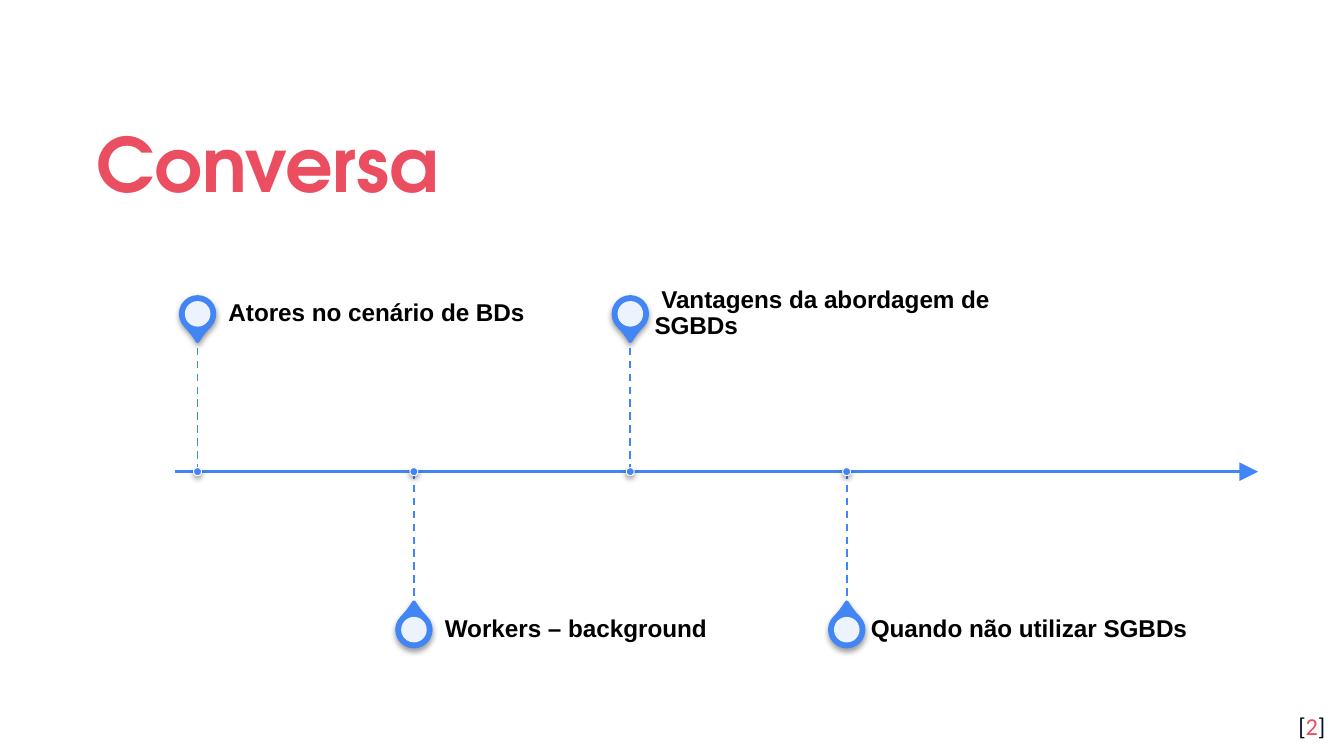
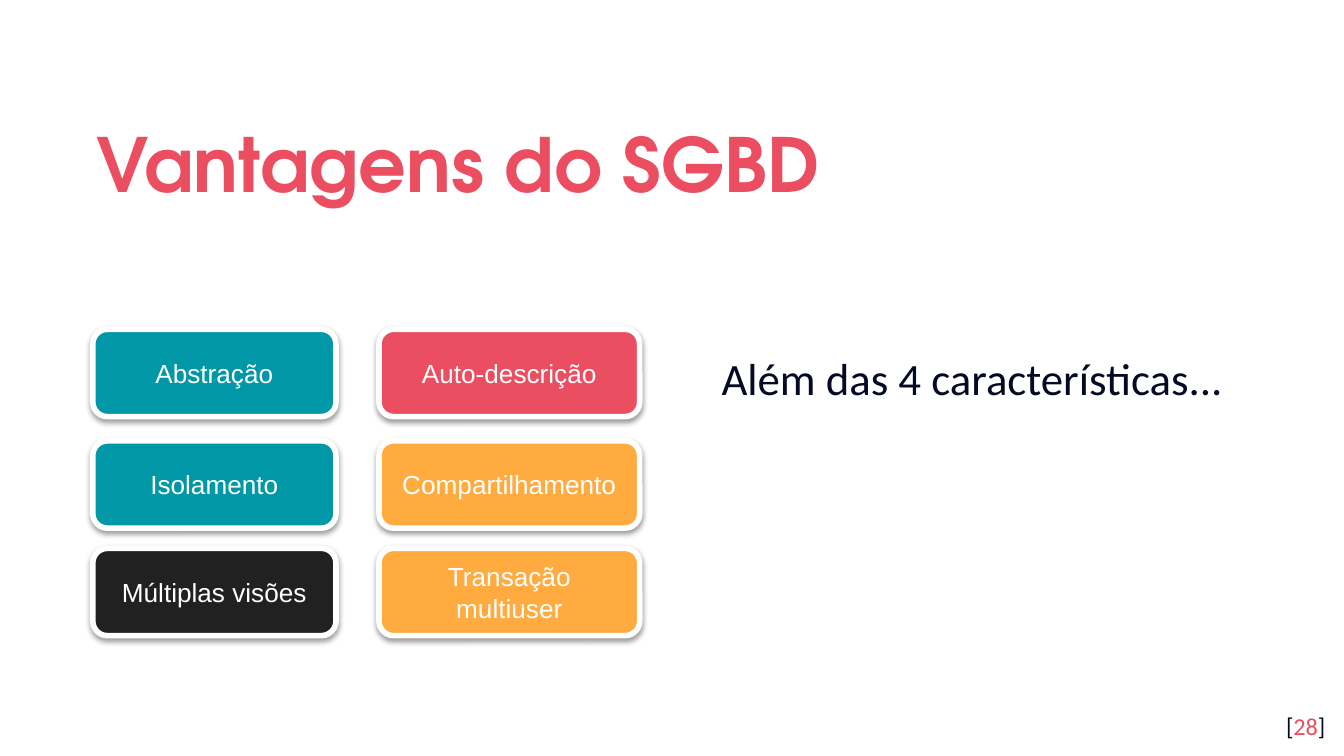
from dataclasses import dataclass

import pptx
import pptx.dml.color
import pptx.enum.dml
import pptx.enum.shapes
import pptx.enum.text
import pptx.oxml
import pptx.oxml.ns
import pptx.slide
import pptx.util
from lxml import etree

Inches = pptx.util.Inches
Pt = pptx.util.Pt
RGBColor = pptx.dml.color.RGBColor
Shape = pptx.enum.shapes.MSO_SHAPE
Align = pptx.enum.text.PP_ALIGN
Anchor = pptx.enum.text.MSO_ANCHOR
qn = pptx.oxml.ns.qn

SLIDE_WIDTH = Inches(10)
SLIDE_HEIGHT = SLIDE_WIDTH * 9 // 16

CORAL = RGBColor(0xEA, 0x4E, 0x60)
NAVY = RGBColor(0x04, 0x0A, 0x24)
BLUE = RGBColor(0x42, 0x85, 0xF4)
TEAL = RGBColor(0x00, 0x97, 0xA7)
ORANGE = RGBColor(0xFF, 0xAB, 0x40)
CHARCOAL = RGBColor(0x21, 0x21, 0x21)
BLACK = RGBColor(0, 0, 0)
WHITE = RGBColor(0xFF, 0xFF, 0xFF)

TITLE_FONT = {"name": "TeX Gyre Adventor", "size": Pt(40), "bold": True}
NUMBER_FONT = {"name": "Calibri", "size": Pt(13)}
BODY_FONT = {"name": "Calibri", "size": Pt(24)}
LABEL_FONT = {"name": "Arial", "size": Pt(13), "bold": True}
CARD_FONT = {"name": "Arial", "size": Pt(14)}

SHADOW_XML = (
    f'<a:effectLst {pptx.oxml.ns.nsdecls("a")}>'
    f'<a:outerShdw blurRad="{Pt(3.1)}" dist="{Pt(1.6)}" dir="5400000" rotWithShape="0">'
    '<a:srgbClr val="000000"><a:alpha val="38000"/></a:srgbClr>'
    "</a:outerShdw></a:effectLst>"
)
ARROWHEAD = {"type": "triangle", "w": "lg", "len": "lg"}

AXIS_Y = 3.51
FIRST_STOP_X = 1.47
STOP_PITCH = 1.61
STEM = 1.0
PIN_REACH = 1.175

CARD_HEIGHT = 0.65
CARD_COLUMNS = ((0.69, 1.81), (2.82, 1.94))
CARD_ROWS = (2.45, 3.28, 4.08)


@dataclass(frozen=True)
class Box:
    left: float
    top: float
    width: float
    height: float

    def lengths(self) -> list:
        return [Inches(v) for v in (self.left, self.top, self.width, self.height)]


@dataclass(frozen=True)
class Stop:
    label: str
    indent: float = 0.05


@dataclass(frozen=True)
class Card:
    label: str
    color: RGBColor


STOPS = (
    Stop("Atores no cenário de BDs"),
    Stop("Workers – background"),
    Stop("Vantagens da abordagem de SGBDs"),
    Stop("Quando não utilizar SGBDs", indent=0),
)

CARDS = (
    (Card("Abstração", TEAL), Card("Auto-descrição", CORAL)),
    (Card("Isolamento", TEAL), Card("Compartilhamento", ORANGE)),
    (Card("Múltiplas visões", CHARCOAL), Card("Transação multiuser", ORANGE)),
)


def set_all(target, values: dict) -> None:
    for name, value in values.items():
        setattr(target, name, value)


def add_run(p, text: str, font: dict, color: RGBColor) -> None:
    r = p.add_run()
    r.text = text
    set_all(r.font, font)
    r.font.color.rgb = color


def add_text(slide: pptx.slide.Slide, box: Box, insets: tuple, anchor, para: dict):
    """Add a wrapping text box and return its paragraph; insets run left, top, right, bottom."""
    tf = slide.shapes.add_textbox(*box.lengths()).text_frame
    sides = ("margin_left", "margin_top", "margin_right", "margin_bottom")
    set_all(tf, {side: Inches(v) for side, v in zip(sides, insets)})
    set_all(tf, {"word_wrap": True, "vertical_anchor": anchor})
    p = tf.paragraphs[0]
    set_all(p, para)
    return p


def add_filled(slide: pptx.slide.Slide, kind, box: Box, fill: RGBColor,
               line: RGBColor | None = None, weight: float = 0, shadow: bool = False):
    sp = slide.shapes.add_shape(kind, *box.lengths())
    sp.fill.solid()
    sp.fill.fore_color.rgb = fill
    if line is None:
        sp.line.fill.background()
    else:
        sp.line.color.rgb = line
        sp.line.width = Pt(weight)
    if shadow:
        sp._element.spPr.append(pptx.oxml.parse_xml(SHADOW_XML))
    else:
        sp.shadow.inherit = False
    return sp


def add_disc(slide: pptx.slide.Slide, kind, x: float, y: float, size: float, **style):
    """Add a square-boxed shape centred on (x, y)."""
    return add_filled(slide, kind, Box(x - size / 2, y - size / 2, size, size), **style)


def add_line(slide: pptx.slide.Slide, start: tuple, end: tuple, weight: float):
    points = [Inches(v) for v in (*start, *end)]
    cn = slide.shapes.add_connector(pptx.enum.shapes.MSO_CONNECTOR.STRAIGHT, *points)
    cn.line.color.rgb = BLUE
    cn.line.width = Pt(weight)
    etree.SubElement(cn._element.spPr, qn("a:effectLst"))
    return cn


def add_page(prs, title: str, number: int) -> pptx.slide.Slide:
    """Add a blank slide with the shared title and bracketed page number."""
    slide = prs.slides.add_slide(prs.slide_layouts[6])
    slide.background.fill.solid()
    slide.background.fill.fore_color.rgb = WHITE
    p = add_text(slide, Box(0.62, 0.7, 8.77, 0.92), (0.1,) * 4, Anchor.MIDDLE,
                 {"line_spacing": 1.15})
    add_run(p, title, TITLE_FONT, CORAL)
    p = add_text(slide, Box(9.36, 5.19, 0.6, 0.43), (0.1,) * 4, Anchor.TOP,
                 {"alignment": Align.RIGHT})
    for text, color in (("[", NAVY), (str(number), CORAL), ("]", NAVY)):
        add_run(p, text, NUMBER_FONT, color)
    return slide


def add_stop(slide: pptx.slide.Slide, stop: Stop, x: float, side: int) -> None:
    """Draw a timeline stop above (side -1) or below (side 1) the axis."""
    pin_y = AXIS_Y + side * PIN_REACH
    pin = add_disc(slide, Shape.TEAR, x, pin_y, 0.25,
                   fill=BLUE, line=BLUE, weight=2, shadow=True)
    pin.adjustments[0] = 1.15
    pin.rotation = 135 if side < 0 else 315

    core = add_disc(slide, Shape.OVAL, x, pin_y, 0.19, fill=WHITE)
    rgb = core._element.spPr.find(f"{qn('a:solidFill')}/{qn('a:srgbClr')}")
    etree.SubElement(rgb, qn("a:alpha")).set("val", "90000")

    p = add_text(slide, Box(x + 0.18, pin_y - 0.175, 2.68, 0.35), (0, 0, 0.09, 0),
                 Anchor.MIDDLE, {"line_spacing": 0.9})
    p._p.get_or_add_pPr().set("indent", str(Inches(stop.indent)))
    add_run(p, stop.label, LABEL_FONT, BLACK)

    stem = add_line(slide, (x, AXIS_Y), (x, AXIS_Y + side * STEM), 1)
    stem.line.dash_style = pptx.enum.dml.MSO_LINE.DASH
    add_disc(slide, Shape.OVAL, x, AXIS_Y, 0.06,
             fill=BLUE, line=WHITE, weight=0.5, shadow=True)


def add_card(slide: pptx.slide.Slide, card: Card, box: Box) -> None:
    sp = add_filled(slide, Shape.ROUNDED_RECTANGLE, box, card.color, WHITE, 3, shadow=True)
    tf = sp.text_frame
    set_all(tf, {"word_wrap": True, "vertical_anchor": Anchor.MIDDLE})
    p = tf.paragraphs[0]
    p.alignment = Align.CENTER
    add_run(p, card.label, CARD_FONT, WHITE)


def build_agenda(prs) -> None:
    slide = add_page(prs, "Conversa", 2)
    axis = add_line(slide, (1.3, AXIS_Y), (9.36, AXIS_Y), 1.5)
    tail = etree.SubElement(axis.line._get_or_add_ln(), qn("a:tailEnd"))
    for name, value in ARROWHEAD.items():
        tail.set(name, value)
    for i, stop in enumerate(STOPS):
        add_stop(slide, stop, FIRST_STOP_X + i * STOP_PITCH, 1 if i % 2 else -1)


def build_advantages(prs) -> None:
    slide = add_page(prs, "Vantagens do SGBD", 28)
    p = add_text(slide, Box(5.27, 2.2, 4.01, 2.79), (0.1, 0.35, 0.1, 0.1), Anchor.TOP,
                 {"alignment": Align.JUSTIFY, "line_spacing": 1.15})
    add_run(p, "Além das 4 características...", BODY_FONT, NAVY)
    for top, row in zip(CARD_ROWS, CARDS):
        for (left, width), card in zip(CARD_COLUMNS, row):
            add_card(slide, card, Box(left, top, width, CARD_HEIGHT))


def main() -> None:
    prs = pptx.Presentation()
    prs.slide_width = SLIDE_WIDTH
    prs.slide_height = SLIDE_HEIGHT
    build_agenda(prs)
    build_advantages(prs)
    prs.save("out.pptx")


if __name__ == "__main__":
    main()
